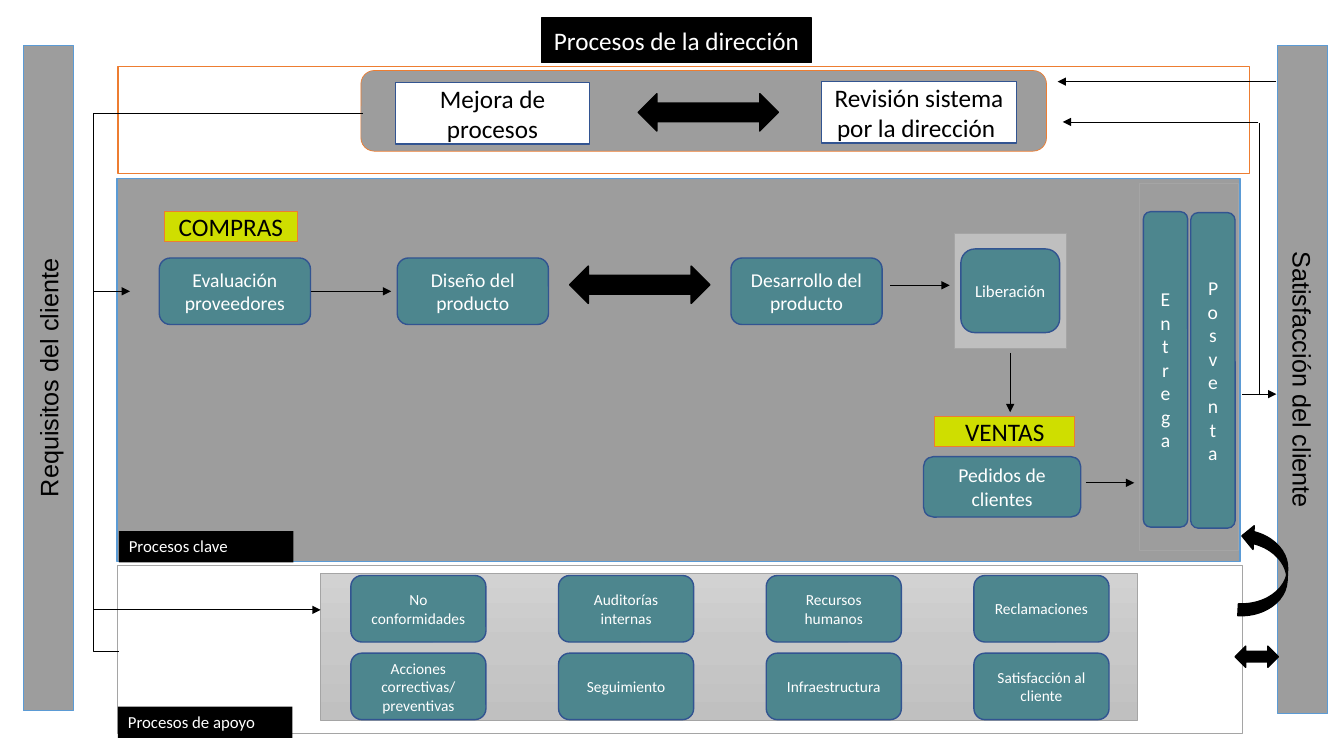
"""Build a process map slide linking client requirements to client satisfaction."""
from dataclasses import dataclass
from typing import Optional

from lxml.etree import SubElement
from pptx import Presentation
from pptx.dml.color import RGBColor
from pptx.enum.shapes import MSO_CONNECTOR, MSO_SHAPE
from pptx.enum.text import MSO_ANCHOR, PP_ALIGN
from pptx.oxml import parse_xml
from pptx.oxml.ns import nsdecls, qn
from pptx.util import Inches, Pt

BLACK = RGBColor(0x00, 0x00, 0x00)
WHITE = RGBColor(0xFF, 0xFF, 0xFF)
GRAY = RGBColor(0x9D, 0x9D, 0x9D)
LIGHT_GRAY = RGBColor(0xBF, 0xBF, 0xBF)
EDGE_GRAY = RGBColor(0xA5, 0xA5, 0xA5)
TEAL = RGBColor(0x4D, 0x86, 0x8E)
NAVY = RGBColor(0x32, 0x54, 0x91)
BLUE = RGBColor(0x5B, 0x9B, 0xD5)
ORANGE = RGBColor(0xED, 0x7D, 0x31)
LIME = RGBColor(0xCF, 0xDE, 0x00)

RECTANGLE = MSO_SHAPE.RECTANGLE
ROUNDED = MSO_SHAPE.ROUNDED_RECTANGLE
DOUBLE_ARROW = MSO_SHAPE.LEFT_RIGHT_ARROW


@dataclass(frozen=True)
class Box:
    left: float
    top: float
    width: float
    height: float
    text: str = ""
    kind: MSO_SHAPE = RECTANGLE
    fill: Optional[RGBColor] = None
    line: Optional[RGBColor] = None
    line_width: float = 1
    size: int = 18
    color: RGBColor = BLACK
    font: str = "Calibri"
    vertical: str = ""
    align: PP_ALIGN = PP_ALIGN.CENTER
    anchor: MSO_ANCHOR = MSO_ANCHOR.MIDDLE
    rotation: float = 0


@dataclass(frozen=True)
class Link:
    start: tuple[float, float]
    end: tuple[float, float]
    arrow: bool = True
    source: str = ""


def process(left: float, top: float, width: float, height: float, text: str,
            size: int = 14, vertical: str = "") -> Box:
    return Box(left, top, width, height, text, ROUNDED, TEAL, NAVY,
               size=size, color=WHITE, vertical=vertical)


def side_panel(left: float, height: float, text: str, vertical: str) -> Box:
    return Box(left, 0.45, 0.5, height, text, fill=GRAY, line=BLUE,
               line_width=0.5, font="Arial", vertical=vertical)


def activity(left: float, top: float, text: str) -> Box:
    return Box(left, top, 1.93, 0.61, text, fill=WHITE, line=NAVY)


def area_tag(left: float, top: float, width: float, text: str) -> Box:
    return Box(left, top, width, 0.3, text, fill=LIME, line=ORANGE, line_width=0.5)


def caption(left: float, top: float, text: str) -> Box:
    return Box(left, top, 1.73, 0.31, text, fill=BLACK, size=12, color=WHITE,
               align=PP_ALIGN.LEFT, anchor=MSO_ANCHOR.TOP)


def double_arrow(left: float, top: float, width: float, height: float) -> Box:
    return Box(left, top, width, height, kind=DOUBLE_ARROW, fill=BLACK, line=BLACK)


SUPPORT_PANEL = Box(3.18, 5.69, 8.1, 1.46, fill=LIGHT_GRAY, line=EDGE_GRAY, line_width=0.5)
SUPPORT_ROWS = (
    ("No conformidades", "Auditorías internas", "Recursos humanos", "Reclamaciones"),
    ("Acciones correctivas/\npreventivas", "Seguimiento", "Infraestructura",
     "Satisfacción al cliente"),
)
BOXES = (
    side_panel(0.23, 6.6, "Requisitos del cliente", "vert270"),
    Box(5.37, 0.18, 2.68, 0.44, "Procesos de la dirección", fill=BLACK, line=BLACK, color=WHITE),
    Box(3.58, 0.7, 6.8, 0.8, kind=ROUNDED, fill=GRAY, line=ORANGE, line_width=0.5),
    activity(3.92, 0.82, "Mejora de procesos"),
    activity(8.15, 0.81, "Revisión sistema por la dirección "),
    double_arrow(6.33, 0.93, 1.39, 0.37),
    side_panel(12.67, 6.63, "Satisfacción del cliente", "vert"),
    Box(1.17, 0.66, 11.22, 1.06, line=ORANGE),
    Box(1.16, 1.77, 11.14, 3.8, fill=GRAY, line=BLUE),
    process(1.58, 2.56, 1.5, 0.66, "Evaluación proveedores"),
    area_tag(1.63, 2.1, 1.32, "COMPRAS"),
    process(3.94, 2.56, 1.5, 0.66, "Diseño del producto"),
    process(7.25, 2.56, 1.5, 0.66, "Desarrollo del producto"),
    process(9.16, 4.53, 1.56, 0.6, "Pedidos de clientes"),
    Box(11.3, 1.82, 0.98, 3.64, fill=GRAY, line=EDGE_GRAY, line_width=0.5),
    process(11.34, 2.1, 0.44, 3.13, "Entrega", vertical="wordArtVert"),
    process(11.81, 2.11, 0.44, 3.13, "Posventa", vertical="wordArtVert"),
    Box(1.16, 5.61, 11.16, 1.67, line=EDGE_GRAY, line_width=0.5),
    area_tag(9.27, 4.13, 1.39, "VENTAS"),
    SUPPORT_PANEL,
    *(process(3.48 + 2.06 * column, 5.71 + 0.77 * row, 1.34, 0.66, text, size=11)
      for row, texts in enumerate(SUPPORT_ROWS) for column, text in enumerate(texts)),
    double_arrow(12.25, 6.41, 0.43, 0.21),
    Box(12.08, 5.43, 0.91, 0.47, kind=MSO_SHAPE.CURVED_UP_ARROW, fill=BLACK,
        line=BLACK, rotation=272.9),
    caption(1.17, 7.01, "Procesos de apoyo"),
    caption(1.18, 5.27, "Procesos clave"),
    double_arrow(5.65, 2.64, 1.39, 0.37),
    Box(9.47, 2.32, 1.11, 1.14, fill=LIGHT_GRAY, line=EDGE_GRAY, line_width=0.5),
    process(9.53, 2.47, 0.98, 0.83, "Liberación", size=12),
)
LINKS = (
    Link((3.08, 2.89), (3.88, 2.89), source="Evaluación proveedores"),
    Link((10.02, 3.5), (10.02, 4.09)),
    Link((12.32, 3.91), (12.66, 3.91)),
    Link((10.77, 4.79), (11.25, 4.79)),
    Link((0.93, 2.89), (1.29, 2.89)),
    Link((0.93, 6.05), (3.18, 6.05)),
    Link((12.49, 3.91), (12.49, 1.22), arrow=False),
    Link((12.48, 1.21), (10.54, 1.21)),
    Link((12.66, 0.81), (10.49, 0.81)),
    Link((8.83, 2.83), (9.42, 2.83)),
)


def write_text(shape, text: str, *, size: int, color: RGBColor, font: str,
               align: PP_ALIGN, anchor: MSO_ANCHOR, vertical: str) -> None:
    frame = shape.text_frame
    frame.word_wrap = True
    frame.vertical_anchor = anchor
    frame.text = text
    if vertical:
        frame._txBody.bodyPr.set("vert", vertical)
    for paragraph in frame.paragraphs:
        paragraph.alignment = align
        paragraph.font.size = Pt(size)
        paragraph.font.name = font
        paragraph.font.color.rgb = color


def draw_box(slide, box: Box):
    shape = slide.shapes.add_shape(box.kind, Inches(box.left), Inches(box.top),
                                   Inches(box.width), Inches(box.height))
    shape.shadow.inherit = False
    shape.rotation = box.rotation
    if box.fill is None:
        shape.fill.background()
    else:
        shape.fill.solid()
        shape.fill.fore_color.rgb = box.fill
    if box.line is None:
        shape.line.fill.background()
    else:
        shape.line.color.rgb = box.line
        shape.line.width = Pt(box.line_width)
    if box.text:
        write_text(shape, box.text, size=box.size, color=box.color, font=box.font,
                   align=box.align, anchor=box.anchor, vertical=box.vertical)
    return shape


def shade_support_panel(shape) -> None:
    stops = "".join(f'<a:gs pos="{position}"><a:srgbClr val="{color}"/></a:gs>'
                    for position, color in ((0, "D2D2D2"), (50000, "C8C8C8"), (100000, "C0C0C0")))
    gradient = parse_xml(f'<a:gradFill {nsdecls("a")}><a:gsLst>{stops}</a:gsLst>'
                         '<a:lin ang="5400000" scaled="0"/></a:gradFill>')
    properties = shape._element.spPr
    properties.replace(properties.find(qn("a:solidFill")), gradient)


def draw_link(slide, link: Link, kind: MSO_CONNECTOR = MSO_CONNECTOR.STRAIGHT):
    points = (Inches(value) for value in (*link.start, *link.end))
    connector = slide.shapes.add_connector(kind, *points)
    connector.line.color.rgb = BLACK
    connector.line.width = Pt(0.5)
    if link.arrow:
        SubElement(connector.line._get_or_add_ln(), qn("a:tailEnd"), type="triangle")
    SubElement(connector._element.spPr, qn("a:effectLst"))
    return connector


def main() -> None:
    presentation = Presentation()
    presentation.slide_width = Inches(13.33)
    presentation.slide_height = Inches(7.5)
    slide = presentation.slides.add_slide(presentation.slide_layouts[6])
    shapes = {box: draw_box(slide, box) for box in BOXES}
    shade_support_panel(shapes[SUPPORT_PANEL])
    sources = {box.text: shape for box, shape in shapes.items()}
    for link in LINKS:
        connector = draw_link(slide, link)
        if link.source:
            connector.begin_connect(sources[link.source], 3)
    feedback = draw_link(slide, Link((3.6, 1.12), (1.18, 6.46), arrow=False), MSO_CONNECTOR.ELBOW)
    guides = feedback._element.spPr.find(qn("a:prstGeom")).get_or_add_avLst()
    SubElement(guides, qn("a:gd"), name="adj1", fmla="val 110300")
    presentation.save("out.pptx")


if __name__ == "__main__":
    main()
